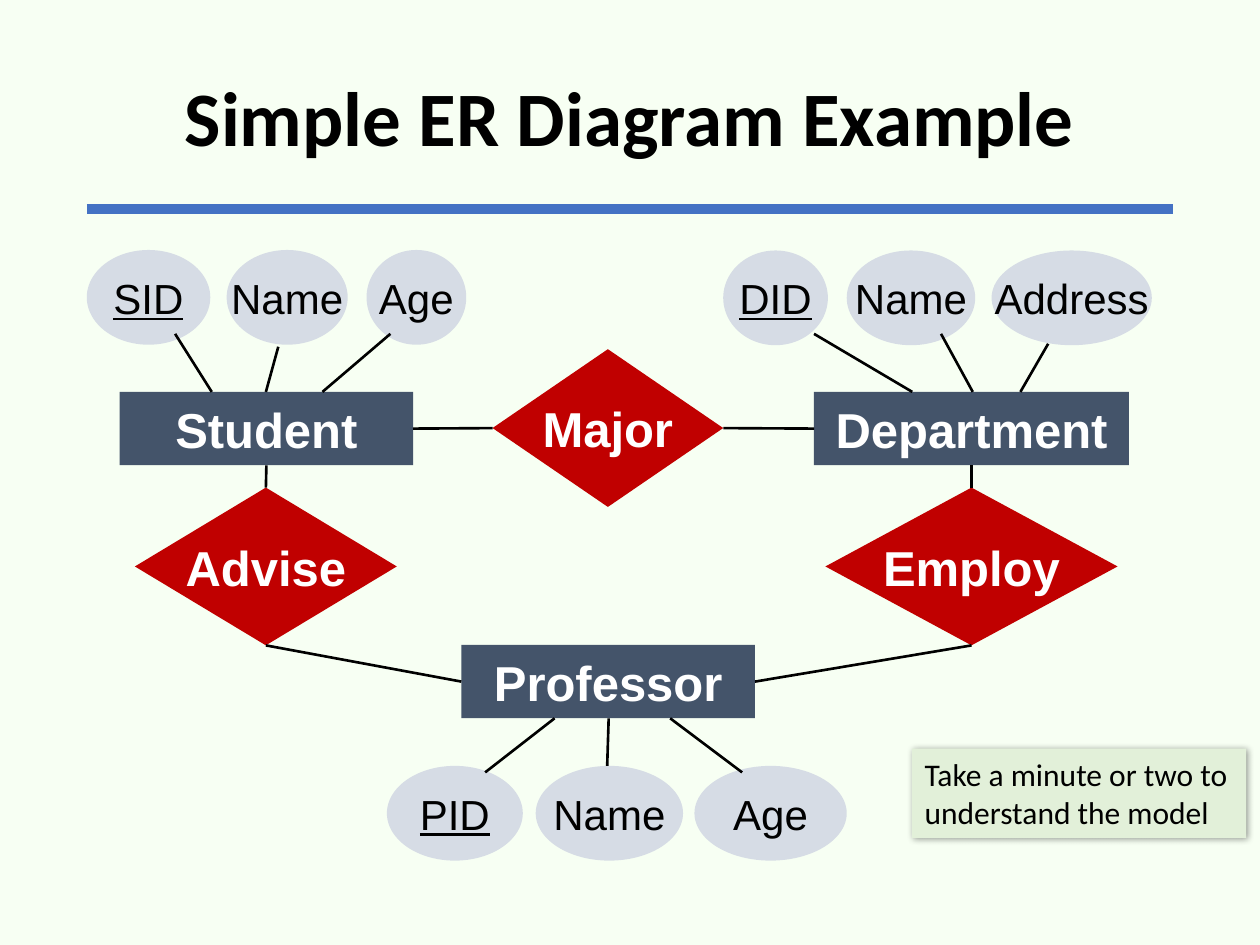
from lxml import etree
from pptx import Presentation
from pptx.dml.color import RGBColor
from pptx.enum.shapes import MSO_CONNECTOR, MSO_SHAPE
from pptx.enum.text import MSO_ANCHOR, MSO_AUTO_SIZE, PP_ALIGN
from pptx.oxml import parse_xml
from pptx.oxml.ns import nsdecls, qn
from pptx.util import Cm, Pt

RECT, OVAL, DIAMOND = MSO_SHAPE.RECTANGLE, MSO_SHAPE.OVAL, MSO_SHAPE.DIAMOND
STRAIGHT = MSO_CONNECTOR.STRAIGHT
TOP, LEFT, BOTTOM, RIGHT = range(4)  # connection sites

BLACK = RGBColor(0x00, 0x00, 0x00)
WHITE = RGBColor(0xFF, 0xFF, 0xFF)
PALE = RGBColor(0xF7, 0xFF, 0xF3)
BLUE = RGBColor(0x44, 0x72, 0xC4)
SLATE = RGBColor(0x44, 0x54, 0x6A)
RED = RGBColor(0xC0, 0x00, 0x00)
LAVENDER = RGBColor(0xD6, 0xDC, 0xE5)
MINT = RGBColor(0xE2, 0xF0, 0xD9)

TITLE = "Simple ER Diagram Example"
NOTE = "Take a minute or two to understand the model"

# name: left, top, width (cm)
ENTITIES = {
    "Professor": (9.3, 13, 5.92),
    "Student": (2.41, 7.9, 5.92),
    "Department": (16.41, 7.9, 6.35),
}
RELATIONSHIPS = {
    "Advise": (2.72, 9.83, 5.28),
    "Employ": (16.64, 9.83, 5.89),
    "Major": (9.93, 7.04, 4.65),
}
# entity: row top, then name, left, width, line start (x, y), x on the entity edge
ATTRIBUTES = {
    "Professor": (15.44, [
        ("PID", 7.8, 2.74, (9.78, 15.57), 11.18),
        ("Name", 10.8, 2.97, (12.24, 15.44), 12.27),
        ("Age", 14, 3.07, (14.96, 15.57), 13.51)]),
    "Student": (5.04, [
        ("SID", 1.75, 2.49, (3.53, 6.73), 4.27),
        ("Name", 4.57, 2.44, (5.61, 6.99), 5.36),
        ("Age", 7.39, 2.01, (7.87, 6.73), 6.5)]),
    "Department": (5.05, [
        ("DID", 14.58, 2.11, (16.41, 6.73), 18.39),
        ("Name", 17.07, 2.59, (18.97, 6.73), 19.61),
        ("Address", 19.99, 3.23, (21.13, 6.93), 20.57)]),
}
KEYS = {"PID", "SID", "DID"}
LINKS = [
    ("Professor", LEFT, "Advise", BOTTOM),
    ("Professor", RIGHT, "Employ", BOTTOM),
    ("Department", LEFT, "Major", RIGHT),
    ("Student", RIGHT, "Major", LEFT),
    ("Advise", TOP, "Student", BOTTOM),
    ("Employ", TOP, "Department", BOTTOM),
]
ENTITY_H, RELATIONSHIP_H, ATTRIBUTE_H = 1.48, 3.18, 1.91

STRONG = {"name": "Arial", "size": Pt(28), "bold": True}
PLAIN = {"name": "Arial", "size": Pt(24), "bold": False}
HEADING = {"name": "Calibri", "size": Pt(44), "bold": True}
REMARK = {"name": "Calibri", "size": Pt(18), "bold": False}


def write(sp, text, color, fmt, align):
    p = sp.text_frame.paragraphs[0]
    p.alignment = align
    r = p.add_run()
    r.text = text
    r.font.color.rgb = color
    for key, value in fmt.items():
        setattr(r.font, key, value)
    return p


def add_node(kind, box, text, fill, color, fmt):
    sp = shapes.add_shape(kind, *map(Cm, box))
    sp.shadow.inherit = False
    sp.fill.solid()
    sp.fill.fore_color.rgb = fill
    sp.line.fill.background()
    sp.text_frame.word_wrap = False
    sp.text_frame.vertical_anchor = MSO_ANCHOR.MIDDLE
    write(sp, text, color, fmt, PP_ALIGN.CENTER)
    return sp


def add_line(start=(0, 0), end=(0, 0), color=BLACK, width=1.5):
    line = shapes.add_connector(STRAIGHT, *map(Cm, (*start, *end)))
    line.line.color.rgb = color
    line.line.width = Pt(width)
    etree.SubElement(line._element.spPr, qn("a:effectLst"))
    return line


prs = Presentation()
prs.slide_width, prs.slide_height = Cm(25.4), Cm(19.05)
s = prs.slides.add_slide(prs.slide_layouts[5])
s.background.fill.solid()
s.background.fill.fore_color.rgb = PALE
shapes = s.shapes

title = shapes.title
title.left, title.top, title.width, title.height = map(Cm, (1.75, 0.61, 21.9, 3.68))
title.text_frame.vertical_anchor = MSO_ANCHOR.MIDDLE
write(title, TITLE, BLACK, HEADING, PP_ALIGN.CENTER).line_spacing = 0.9
add_line((1.75, 4.21), (23.65, 4.21), BLUE, 6)

nodes = {}
for group, kind, height, fill in (
    (ENTITIES, RECT, ENTITY_H, SLATE),
    (RELATIONSHIPS, DIAMOND, RELATIONSHIP_H, RED),
):
    for name, box in group.items():
        nodes[name] = add_node(kind, (*box, height), name, fill, WHITE, STRONG)

for entity, (top, attributes) in ATTRIBUTES.items():
    entity_top = ENTITIES[entity][1]
    edge = entity_top if top < entity_top else entity_top + ENTITY_H
    for name, left, width, start, edge_x in attributes:
        add_node(OVAL, (left, top, width, ATTRIBUTE_H), name, LAVENDER, BLACK,
                 {**PLAIN, "underline": name in KEYS})
        add_line(start, (edge_x, edge))

for begin, begin_site, end, end_site in LINKS:
    line = add_line()
    line.begin_connect(nodes[begin], begin_site)
    line.end_connect(nodes[end], end_site)

note = shapes.add_textbox(*map(Cm, (18.39, 15.09, 6.73, 1.8)))
note.fill.solid()
note.fill.fore_color.rgb = MINT
note.text_frame.word_wrap = True
note.text_frame.auto_size = MSO_AUTO_SIZE.SHAPE_TO_FIT_TEXT
write(note, NOTE, BLACK, REMARK, PP_ALIGN.LEFT)
note._element.spPr.append(parse_xml(
    f'<a:effectLst {nsdecls("a")}><a:outerShdw blurRad="50800" dist="12700" dir="2700000">'
    '<a:srgbClr val="000000"><a:alpha val="40000"/></a:srgbClr>'
    '</a:outerShdw></a:effectLst>'))

prs.save("out.pptx")
